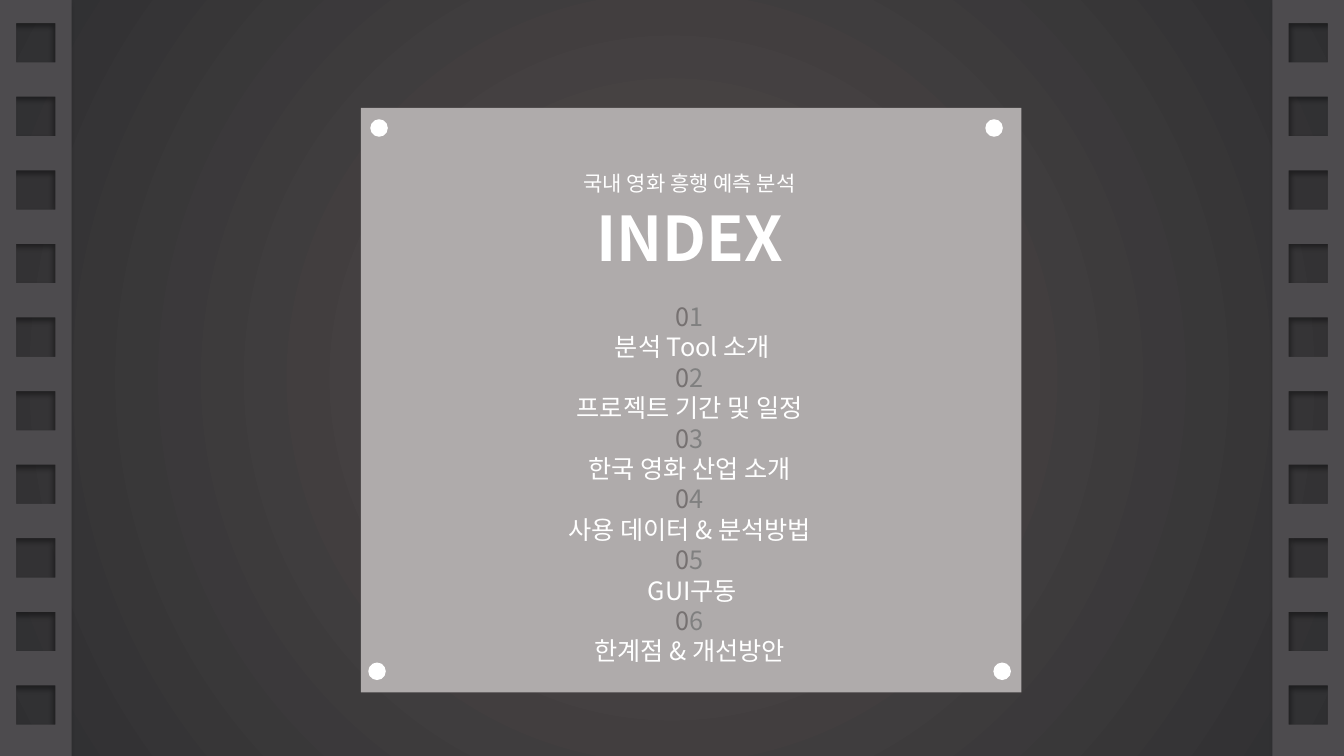
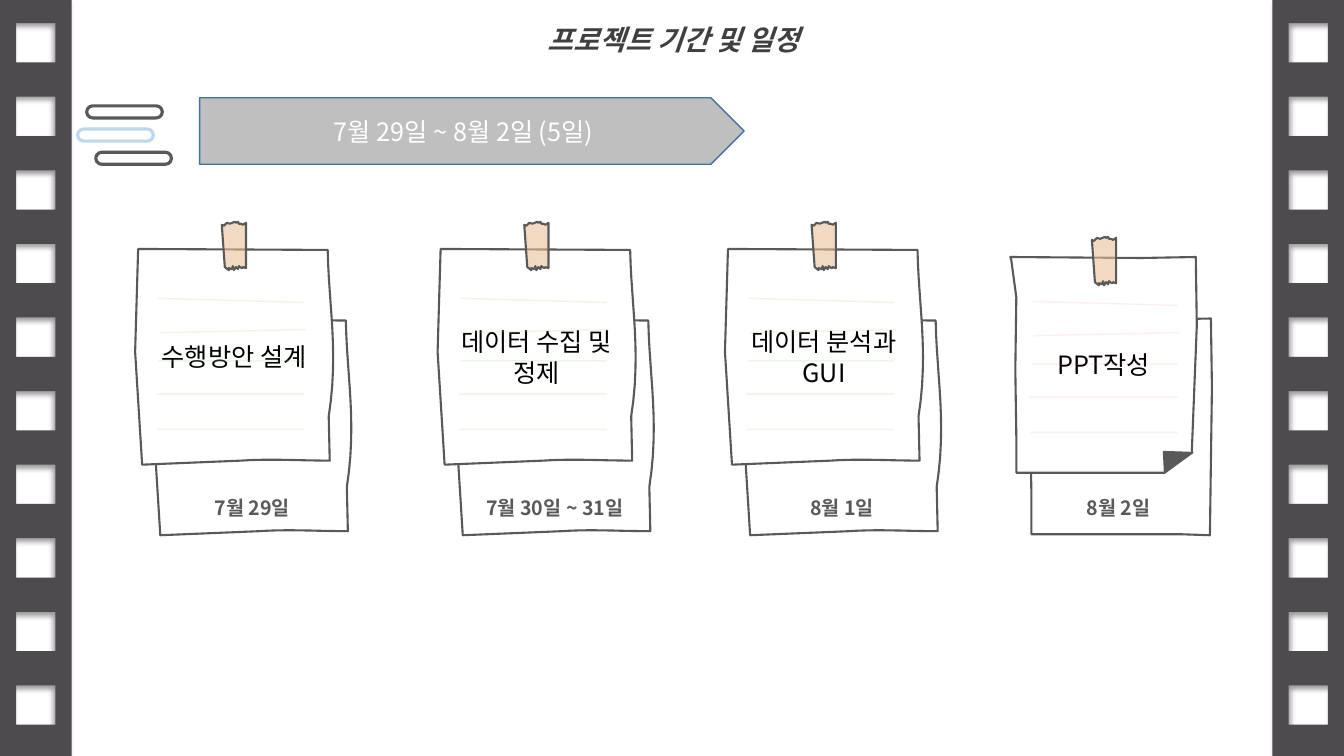
from lxml.etree import SubElement
from pptx import Presentation
from pptx.dml.color import RGBColor
from pptx.enum.shapes import MSO_CONNECTOR, MSO_SHAPE as SHAPE
from pptx.enum.text import MSO_ANCHOR as ANCHOR, PP_ALIGN as ALIGN
from pptx.oxml.ns import qn
from pptx.util import Inches, Pt

rgb = RGBColor.from_string
WHITE, GREY, BAND, TAPE = "FFFFFF", "595959", "4D4B4E", "EAC096"
FONT, SUBTITLE_FONT = "Noto Sans CJK KR", "Noto Sans CJK SC"


def draw(page, kind, place, fill, line=None, width=1.0):
    """Draw a preset in a box, or an outline (kind None) from contours.

    A contour point is (x, y), or six numbers for a Bezier curve.
    """
    if kind is None:
        builder = None
        for contour in place:
            points = []
            for point in contour:
                if len(point) == 2:
                    points.append(point)
                    continue
                knots = [points[-1], point[:2], point[2:4], point[4:]]
                for step in range(1, 13):
                    t = step / 12
                    weights = ((1 - t) ** 3, 3 * t * (1 - t) ** 2,
                               3 * t * t * (1 - t), t ** 3)
                    points.append(tuple(
                        sum(w * knot[axis] for w, knot in zip(weights, knots))
                        for axis in (0, 1)))
            points = [(Inches(x), Inches(y)) for x, y in points]
            if builder is None:
                builder = page.shapes.build_freeform(*points[0], scale=1.0)
            else:
                builder.move_to(*points[0])
            builder.add_line_segments(points[1:], close=True)
        shape = builder.convert_to_shape()
    else:
        shape = page.shapes.add_shape(kind, *map(Inches, place))
    shape.shadow.inherit = False
    shape.fill.solid()
    shape.fill.fore_color.rgb = rgb(fill)
    if line:
        shape.line.color.rgb = rgb(line)
        shape.line.width = Pt(width)
    else:
        shape.line.fill.background()
    return shape


def write(para, text, size, colour, bold=False, italic=False, font=FONT):
    """Add one run to a centred paragraph."""
    para.alignment = ALIGN.CENTER
    span = para.add_run()
    span.text = text
    span.font.size = Pt(size)
    span.font.bold = bold
    span.font.italic = italic
    span.font.color.rgb = rgb(colour)
    span.font.name = font
    SubElement(span.font._element, qn("a:ea"), typeface=font)


deck = Presentation()
deck.slide_width, deck.slide_height = Inches(13.33), Inches(7.5)
index_page, plan_page = [deck.slides.add_slide(deck.slide_layouts[6])
                         for _ in range(2)]

# Film strip bands on both slides
for page in (index_page, plan_page):
    for left, direction in ((0, 135), (12.62, 45)):
        contours = []
        for x, y, w, h in ([(left + 0.16, 0.23 + 0.73 * row, 0.39, 0.39)
                            for row in range(10)] + [(left, 0, 0.71, 7.5)]):
            contours.append([(x, y), (x + w, y), (x + w, y + h), (x, y + h)])
        band = draw(page, None, contours, BAND)
        effects = band.element.spPr.find(qn("a:effectLst"))
        shade = SubElement(effects, qn("a:outerShdw"), blurRad=str(Pt(4)),
                           dist=str(Pt(3)), dir=str(direction * 60000),
                           rotWithShape="0")
        black = SubElement(shade, qn("a:srgbClr"), val="000000")
        SubElement(black, qn("a:alpha"), val="40000")

# Index: round gradient background
backdrop = index_page.background.fill
backdrop.gradient()
for stop, position, colour in zip(backdrop.gradient_stops, (0, 1),
                                  ("524C4C", "2F2F31")):
    stop.position = position
    stop.color.rgb = rgb(colour)
gradient = index_page.element.find(".//" + qn("a:gradFill"))
gradient.remove(gradient.find(qn("a:lin")))
circle = SubElement(gradient, qn("a:path"), path="circle")
SubElement(circle, qn("a:fillToRect"), l="50000", t="50000", r="50000", b="50000")

# Index: board with four pins
draw(index_page, SHAPE.RECTANGLE, (3.58, 1.07, 6.55, 5.8), "AFABAB")
for x, y in ((3.68, 1.19), (3.66, 6.58), (9.78, 1.19), (9.86, 6.58)):
    draw(index_page, SHAPE.OVAL, (x, y, 0.16, 0.16), WHITE, WHITE)

# Index: heading and chapters
box = index_page.shapes.add_textbox(*map(Inches, (3.66, 1.64, 6.36, 5.05)))
frame = box.text_frame
frame.word_wrap = True
para = frame.paragraphs[0]
para.line_spacing = Pt(18)
write(para, "국내 영화 흥행 예측 분석", 15, WHITE, font=SUBTITLE_FONT)
para = frame.add_paragraph()
para.line_spacing = Pt(56)
write(para, "INDEX", 44, WHITE, bold=True)
chapters = (" 분석 Tool 소개", "프로젝트 기간 및 일정", "한국 영화 산업 소개",
            "사용 데이터 & 분석방법", " GUI구동", "한계점 & 개선방안")
for number, chapter in enumerate(chapters, 1):
    para = frame.add_paragraph()
    para.line_spacing = Pt(21.7)
    if number == 1:
        para.space_before = Pt(19.5)
    write(para, "0", 18, "767171")
    write(para, str(number), 18, "808080")
    para = frame.add_paragraph()
    para.line_spacing = Pt(21.7)
    write(para, chapter, 18, WHITE)

# Plan: title, date arrow and three bars
title = draw(plan_page, SHAPE.ROUND_2_SAME_RECTANGLE, (1.24, 0, 10.88, 0.67), WHITE)
title.adjustments[0], title.adjustments[1] = 0, 0.31
para = title.text_frame.paragraphs[0]
para.line_spacing = Pt(36)
write(para, "프로젝트 기간 및 일정", 20, "404040", bold=True, italic=True)

period = draw(plan_page, SHAPE.PENTAGON, (1.98, 0.97, 5.4, 0.66), "BFBFBF", "43739E")
para = period.text_frame.paragraphs[0]
para.line_spacing = Pt(21.6)
write(para, "7월 29일 ~ 8월 2일 (5일)", 18, WHITE)

for x, y, colour in ((0.86, 1.05, GREY), (0.77, 1.28, "BDD7EE"), (0.95, 1.51, GREY)):
    bar = draw(plan_page, SHAPE.ROUNDED_RECTANGLE, (x, y, 0.75, 0.12),
               WHITE, colour, 2.25)
    bar.adjustments[0] = 0.5

# Plan: outlines measured from the corner of each sheet
wavy = [(0.03, 0), (1.91, 0.01), (1.92, 0.56, 2.02, 1.03, 1.92, 1.66),
        (1.93, 2.1), (1.64, 2.1, 1.35, 2.08, 1.05, 2.1), (0.07, 2.14), (0, 1.02)]
plain = [(0, 0), (1.3, 0.01), (1.84, 0), (1.85, 0.68), (1.83, 2.15), (1.53, 2.14),
         (0.06, 2.14), (0.06, 1.78), (0.05, 1.12), (0.06, 0.4), (0.01, 0.03)]
folded = plain[:4] + [(1.8, 1.94)] + plain[5:]
fold = [(1.53, 2.14), (1.81, 1.94), (1.52, 1.93)]
tape = [(0.03, 0.45), (0.07, 0.48), (0.07, 0.46), (0.1, 0.47), (0.11, 0.44),
        (0.12, 0.48), (0.14, 0.45), (0.16, 0.47), (0.17, 0.44), (0.18, 0.45),
        (0.2, 0.46), (0.21, 0.45), (0.24, 0.46), (0.24, 0.01), (0.21, 0.03),
        (0.19, 0.02), (0.17, 0.02), (0.16, 0), (0.14, 0.01), (0.13, 0),
        (0.08, 0.02), (0.05, 0.01), (0.02, 0.04), (0, 0.03)]
rules = [(0.23, 0.49, 1.68, 0.53), (0.25, 0.83, 1.7, 0.8), (0.23, 1.11, 1.68, 1.11),
         (0.21, 1.44, 1.68, 1.44), (0.22, 1.79, 1.68, 1.79)]

# Plan: four taped notes, each with a dated sheet behind
notes = [(1.34, 2.47, "수행방안 설계", "7월 29일", False),
         (4.34, 2.47, "데이터 수집 및 정제", "7월 30일 ~ 31일", False),
         (7.19, 2.47, "데이터 분석과 GUI", "8월 1일", False),
         (10.02, 2.55, "PPT작성", "8월 2일", True)]
for left, top, task, date, is_folded in notes:
    back, front = (plain, folded) if is_folded else (wavy, wavy)
    back_dx, back_dy = (0.15, 0.61) if is_folded else (0.18, 0.7)
    tape_dx, tape_dy = (0.81, -0.2) if is_folded else (0.86, -0.27)
    rule_dx, rule_dy = (-0.02, -0.05) if is_folded else (0, 0)
    rule_colour, rule_alpha = ("FF7C80", 12) if is_folded else ("A9D18E", 20)

    parts = {}
    for name, outline, dx, dy, fill, width in (
            ("back", back, back_dx, back_dy, WHITE, 1.5),
            ("front", front, 0, 0, WHITE, 1.5),
            ("fold", fold if is_folded else [], 0, 0, GREY, 1),
            ("tape", tape, tape_dx, tape_dy, TAPE, 1.5)):
        if outline:
            contour = [tuple(value + (top + dy if spot % 2 else left + dx)
                             for spot, value in enumerate(point))
                       for point in outline]
            parts[name] = draw(plan_page, None, [contour], fill, GREY, width)
    tape_colour = parts["tape"].element.spPr.find(
        qn("a:solidFill") + "/" + qn("a:srgbClr"))
    SubElement(tape_colour, qn("a:alpha"), val="58000")

    for name, text, size, colour, anchor in (
            ("back", date, 14, GREY, ANCHOR.BOTTOM),
            ("front", task, 18, "000000", ANCHOR.MIDDLE)):
        frame = parts[name].text_frame
        frame.word_wrap = True
        frame.vertical_anchor = anchor
        if name == "back":
            frame.margin_bottom = Inches(0.16)
        para = frame.paragraphs[0]
        para.line_spacing = Pt(size * 1.2)
        write(para, text, size, colour, bold=name == "back")

    for x1, y1, x2, y2 in rules:
        rule = plan_page.shapes.add_connector(
            MSO_CONNECTOR.STRAIGHT,
            Inches(left + rule_dx + x1), Inches(top + rule_dy + y1),
            Inches(left + rule_dx + x2), Inches(top + rule_dy + y2))
        rule.line.color.rgb = rgb(rule_colour)
        rule.line.width = Pt(1)
        SubElement(rule.element.spPr.find(".//" + qn("a:srgbClr")),
                   qn("a:alpha"), val=str(rule_alpha * 1000))
        SubElement(rule.element.spPr, qn("a:effectLst"))

deck.save("out.pptx")
